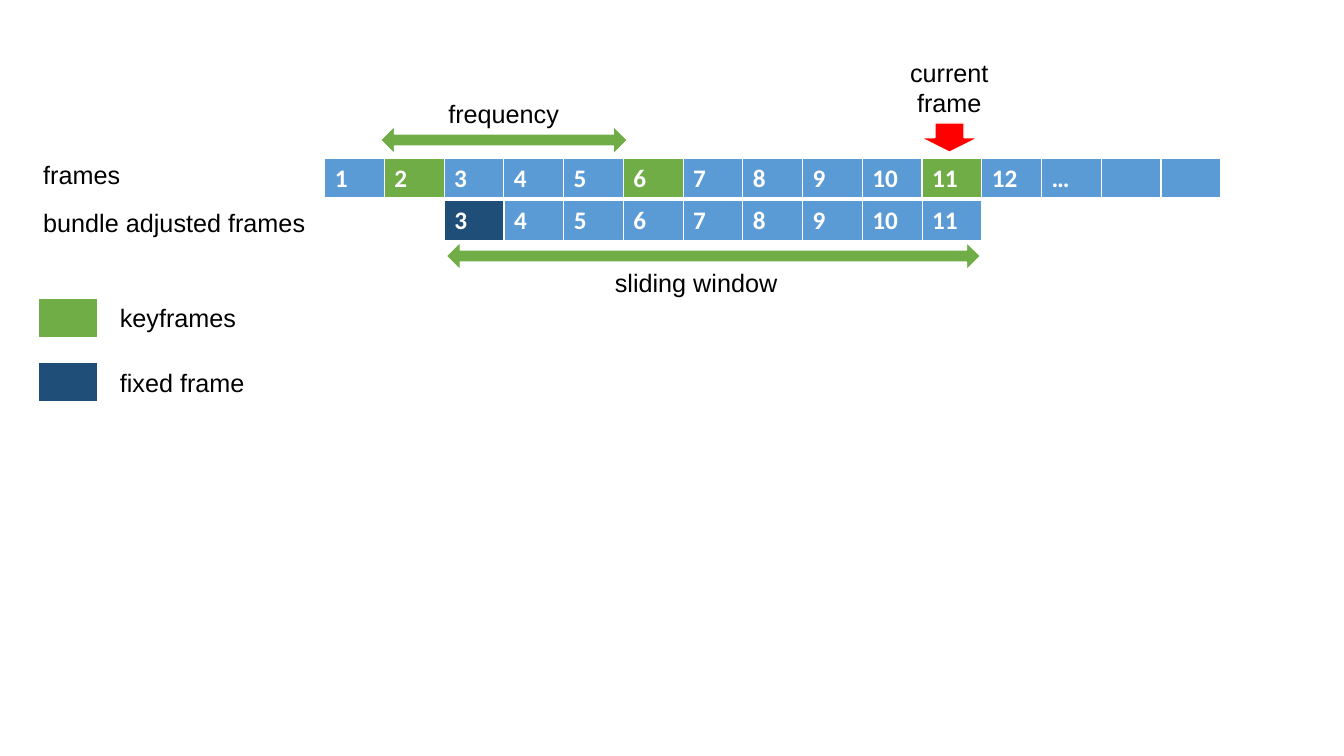
from lxml import etree
from pptx import Presentation
from pptx.dml.color import RGBColor
from pptx.enum.shapes import MSO_SHAPE
from pptx.enum.text import MSO_AUTO_SIZE, PP_ALIGN
from pptx.oxml.ns import qn
from pptx.util import Inches, Pt

CENTER, LEFT = PP_ALIGN.CENTER, PP_ALIGN.LEFT
FIT_TEXT = MSO_AUTO_SIZE.SHAPE_TO_FIT_TEXT
SPAN_ARROW, DOWN_ARROW = MSO_SHAPE.LEFT_RIGHT_ARROW, MSO_SHAPE.DOWN_ARROW

WHITE, BLACK, RED = "FFFFFF", "000000", "FF0000"
FRAME_BLUE, KEY_GREEN, FIXED_NAVY = "5B9BD5", "70AD47", "1F4E79"

# Grid of the frame strip, in inches
FRAME_COUNT = 15
FRAME_WIDTH = 8.89 / FRAME_COUNT
FRAME_HEIGHT = 0.4
STRIP_LEFT, STRIP_TOP, STRIP_PITCH = 3.22, 1.57, 0.42
LABEL_LEFT, LEGEND_LEFT, LEGEND_TEXT_LEFT = 0.33, 0.38, 1.09
LEGEND_TOP, LEGEND_PITCH = 2.96, 0.64
SPAN_HEIGHT = 0.28
BORDERS = (("a:lnL", 1), ("a:lnR", 1), ("a:lnT", 1), ("a:lnB", 3))


def color(hex_value):
    """Turn a hex string into a colour."""
    return RGBColor.from_string(hex_value)


def frame_left(number):
    """Return the left edge of a numbered frame on the strip."""
    return STRIP_LEFT + (number - 1) * FRAME_WIDTH


def write(text_frame, text, size=18, font="Arial", hex_color=BLACK,
          bold=False, align=LEFT):
    """Write one formatted paragraph into a text frame."""
    paragraph = text_frame.paragraphs[0]
    paragraph.alignment = align
    run = paragraph.add_run()
    run.text = text
    run.font.size = Pt(size)
    run.font.name = font
    run.font.bold = bold
    run.font.color.rgb = color(hex_color)


def add_label(slide, text, left, top, width, height=0.4, **text_format):
    """Add a wrapping label."""
    label = slide.shapes.add_textbox(
        Inches(left), Inches(top), Inches(width), Inches(height))
    label.text_frame.word_wrap = True
    label.text_frame.auto_size = FIT_TEXT
    write(label.text_frame, text, **text_format)


def add_cell_borders(cell):
    """Give a cell white borders, heavier at the bottom."""
    properties = cell._tc.get_or_add_tcPr()
    for position, (tag, points) in enumerate(BORDERS):
        border = etree.Element(qn(tag), w=str(Pt(points)))
        fill = etree.SubElement(border, qn("a:solidFill"))
        etree.SubElement(fill, qn("a:srgbClr"), val=WHITE)
        properties.insert(position, border)


def add_strip(slide, left, top, texts, fills):
    """Add a one-row table of frames with one fill for each cell."""
    table = slide.shapes.add_table(
        1, len(texts), Inches(left), Inches(top),
        Inches(len(texts) * FRAME_WIDTH), Inches(FRAME_HEIGHT)).table
    for column, text, fill in zip(table.columns, texts, fills):
        column.width = Inches(FRAME_WIDTH)
    for cell, text, fill in zip(table.rows[0].cells, texts, fills):
        cell.fill.solid()
        cell.fill.fore_color.rgb = color(fill)
        add_cell_borders(cell)
        if text:
            write(cell.text_frame, text, font="Calibri",
                  hex_color=WHITE, bold=True)


def add_arrow(slide, preset, left, top, width, height, fill, adjustments=()):
    """Add a block arrow with a thin white outline."""
    arrow = slide.shapes.add_shape(
        preset, Inches(left), Inches(top), Inches(width), Inches(height))
    arrow.shadow.inherit = False
    arrow.fill.solid()
    arrow.fill.fore_color.rgb = color(fill)
    arrow.line.color.rgb = color(WHITE)
    arrow.line.width = Pt(1)
    for index, value in enumerate(adjustments):
        arrow.adjustments[index] = value


def add_span(slide, left, top, width):
    """Add a green double arrow that measures a run of frames."""
    add_arrow(slide, SPAN_ARROW, left, top, width, SPAN_HEIGHT,
              KEY_GREEN, (0.43, 0.5))


def add_legend(slide, entries):
    """Add a column of colour swatches with their meanings."""
    for row, (meaning, fill) in enumerate(entries):
        top = LEGEND_TOP + row * LEGEND_PITCH
        add_strip(slide, LEGEND_LEFT, top, [""], [fill])
        add_label(slide, meaning, LEGEND_TEXT_LEFT, top - 0.01, 1.61)


def main():
    """Build the sliding window slide."""
    deck = Presentation()
    deck.slide_width, deck.slide_height = Inches(13.33), Inches(7.5)
    slide = deck.slides.add_slide(deck.slide_layouts[6])

    keyframes, window = (2, 6, 11), range(3, 12)
    frames = [str(n) for n in range(1, 13)] + ["…", "", ""]
    frame_fills = [KEY_GREEN if n in keyframes else FRAME_BLUE
                   for n in range(1, FRAME_COUNT + 1)]
    window_fills = [FIXED_NAVY] + [FRAME_BLUE] * (len(window) - 1)
    add_strip(slide, STRIP_LEFT, STRIP_TOP, frames, frame_fills)
    add_strip(slide, frame_left(window[0]), STRIP_TOP + STRIP_PITCH,
              [str(n) for n in window], window_fills)

    add_label(slide, "frames", LABEL_LEFT, 1.53, 1.61)
    add_label(slide, "bundle adjusted frames", LABEL_LEFT, 2.01, 2.91)
    add_legend(slide, [("keyframes", KEY_GREEN), ("fixed frame", FIXED_NAVY)])

    add_span(slide, frame_left(2) - 0.04, 1.25, 2.45)
    add_label(slide, "frequency", 4.19, 0.93, 1.61, align=CENTER)
    add_span(slide, frame_left(3) + 0.02, 2.4, 5.3)
    add_label(slide, "sliding window", 6, 2.6, 1.97)
    add_arrow(slide, DOWN_ARROW, frame_left(11) - 0.02, 1.22, 0.58, 0.29, RED)
    add_label(slide, "current frame", 8.81, 0.52, 1.21, 0.71, align=CENTER)

    deck.save("out.pptx")


main()
